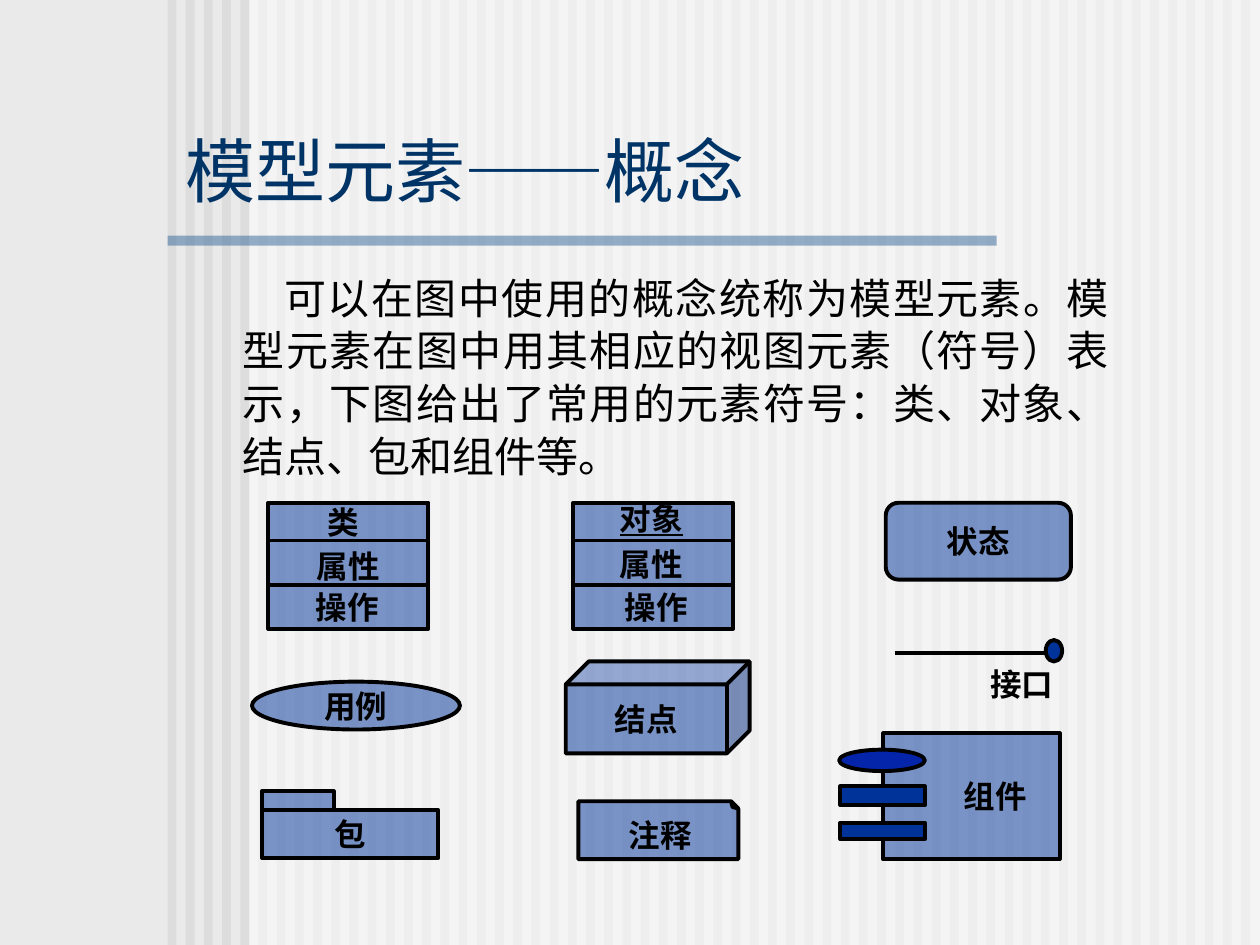
import pptx
import pptx.util
import pptx.dml.color
import pptx.enum.shapes
import pptx.enum.text
import pptx.oxml.ns
import lxml.etree

Inches = pptx.util.Inches
Shape = pptx.enum.shapes.MSO_SHAPE
Align = pptx.enum.text.PP_ALIGN
Anchor = pptx.enum.text.MSO_ANCHOR
qualified = pptx.oxml.ns.qn

CJK_FONT = "Noto Sans CJK SC"
BLUE = "003399"
BLACK = "000000"


def color(value):
    return pptx.dml.color.RGBColor.from_string(value)


def set_fill(shape, value, opacity=100):
    shape.fill.solid()
    shape.fill.fore_color.rgb = color(value)
    if opacity < 100:
        element = shape._element.spPr.find(".//" + qualified("a:srgbClr"))
        alpha = lxml.etree.SubElement(element, qualified("a:alpha"))
        alpha.set("val", str(opacity * 1000))


def write_text(frame, text, size=18, font="Times New Roman", value=BLACK,
               bold=True, underline=False, align=Align.LEFT):
    paragraph = frame.paragraphs[0]
    paragraph.alignment = align
    run = paragraph.add_run()
    run.text = text
    run.font.size = pptx.util.Pt(size)
    run.font.name = font
    run.font.bold = bold
    run.font.underline = underline
    run.font.color.rgb = color(value)
    east_asian = lxml.etree.Element(qualified("a:ea"))
    east_asian.set("typeface", CJK_FONT)
    run.font._element.find(qualified("a:latin")).addnext(east_asian)
    return paragraph


def add_block(slide, left, top, width, height, value, opacity=100, kind=Shape.RECTANGLE):
    """A filled shape without an outline."""
    shape = slide.shapes.add_shape(kind, Inches(left), Inches(top), Inches(width), Inches(height))
    shape.shadow.inherit = False
    set_fill(shape, value, opacity)
    shape.line.fill.background()
    return shape


def add_symbol(slide, kind, left, top, width, height, text="", value=BLUE, opacity=50,
               left_inset=0.1):
    """An outlined shape with an optional centred label."""
    shape = add_block(slide, left, top, width, height, value, opacity, kind)
    shape.line.color.rgb = color(BLACK)
    shape.line.width = pptx.util.Pt(2.25)
    if text:
        frame = shape.text_frame
        frame.word_wrap = False
        frame.vertical_anchor = Anchor.MIDDLE
        frame.margin_left = Inches(left_inset)
        write_text(frame, text, align=Align.CENTER)
    return shape


def add_label(slide, left, top, text, width=0.7, underline=False):
    box = slide.shapes.add_textbox(Inches(left), Inches(top), Inches(width), Inches(0.4))
    box.text_frame.word_wrap = False
    box.text_frame.auto_size = pptx.enum.text.MSO_AUTO_SIZE.SHAPE_TO_FIT_TEXT
    write_text(box.text_frame, text, underline=underline)


def add_rule(slide, left, right, top):
    line = slide.shapes.add_connector(pptx.enum.shapes.MSO_CONNECTOR.STRAIGHT,
                                      Inches(left), Inches(top), Inches(right), Inches(top))
    line.line.color.rgb = color(BLACK)
    line.line.width = pptx.util.Pt(2.25)
    lxml.etree.SubElement(line._element.spPr, qualified("a:effectLst"))


def add_compartments(slide, left, text=""):
    """A box divided into name, attributes and operations."""
    width = 1.27
    add_symbol(slide, Shape.RECTANGLE, left, 3.99, width, 1, text)
    for top in (4.29, 4.64):
        add_rule(slide, left, left + width, top)


def add_background(slide):
    slide.background.fill.solid()
    slide.background.fill.fore_color.rgb = color("EAEAEA")
    first, last, count = 1.33, 9.85, 60
    pitch = (last - first) / (count - 1)
    for index in range(count):
        add_block(slide, first + index * pitch, 0, 0.07, 7.5, "DDDDDD")
    add_block(slide, 1.98, 0, 8.02, 7.5, "FFFFFF", 50)
    add_block(slide, 1.33, 1.87, 6.58, 0.08, "336699", 50)


def add_title(slide, text):
    title = slide.shapes.title
    title.left, title.top = Inches(1.37), Inches(1.04)
    title.width, title.height = Inches(7.33), Inches(0.69)
    title.text_frame.vertical_anchor = Anchor.BOTTOM
    write_text(title.text_frame, text, size=40, font="Arial", value="003366", bold=False)
    # Bring the title in front of the background stripes
    slide.shapes._spTree.append(title._element)


def add_body(slide, text):
    box = slide.shapes.add_textbox(Inches(1.83), Inches(2.09), Inches(7.07), Inches(1.78))
    box.text_frame.word_wrap = True
    paragraph = write_text(box.text_frame, text, size=24, font=CJK_FONT, bold=False,
                           align=Align.JUSTIFY)
    paragraph.line_spacing = 1.05
    paragraph._p.get_or_add_pPr().set("indent", str(Inches(0.33)))


def add_note(slide):
    """A note with its folded corner at the top."""
    note = add_symbol(slide, Shape.FOLDED_CORNER, 4.59, 6.36, 1.27, 0.46)
    properties = note._element.spPr
    properties.find(qualified("a:xfrm")).set("flipV", "1")
    guides = properties.find(qualified("a:prstGeom")).find(qualified("a:avLst"))
    guide = lxml.etree.SubElement(guides, qualified("a:gd"))
    guide.set("name", "adj")
    guide.set("fmla", "val 12500")
    add_label(slide, 4.89, 6.43, "注释", width=0.75)


def add_left_column(slide):
    add_compartments(slide, 2.13, "属性")
    add_label(slide, 2.5, 3.94, "类", width=0.45)
    add_label(slide, 2.41, 4.62, "操作")
    add_symbol(slide, Shape.OVAL, 2, 5.41, 1.65, 0.38, "用例")
    # Package with its tab
    add_symbol(slide, Shape.RECTANGLE, 2.08, 6.43, 1.4, 0.38, "包")
    add_symbol(slide, Shape.RECTANGLE, 2.08, 6.28, 0.57, 0.15)


def add_middle_column(slide):
    add_compartments(slide, 4.55)
    add_label(slide, 4.82, 3.91, "对象", underline=True)
    add_label(slide, 4.82, 4.28, "属性")
    add_label(slide, 4.86, 4.62, "操作")
    add_symbol(slide, Shape.CUBE, 4.49, 5.25, 1.46, 0.73, "结点")
    add_note(slide)


def add_right_column(slide):
    add_symbol(slide, Shape.ROUNDED_RECTANGLE, 7.03, 3.99, 1.47, 0.61, "状态")
    # Interface
    add_rule(slide, 7.1, 8.31, 5.18)
    add_symbol(slide, Shape.OVAL, 8.3, 5.08, 0.13, 0.17, opacity=100)
    add_label(slide, 7.76, 5.23, "接口")
    # Component with its ports
    add_symbol(slide, Shape.RECTANGLE, 7.01, 5.82, 1.4, 1, "组件", left_inset=0.48)
    add_symbol(slide, Shape.RECTANGLE, 6.67, 6.24, 0.67, 0.15, opacity=100)
    add_symbol(slide, Shape.RECTANGLE, 6.67, 6.53, 0.67, 0.13, opacity=100)
    add_symbol(slide, Shape.OVAL, 6.66, 5.95, 0.68, 0.17, value="0424AA", opacity=100)


def main():
    presentation = pptx.Presentation()
    presentation.slide_width, presentation.slide_height = Inches(10), Inches(7.5)
    slide = presentation.slides.add_slide(presentation.slide_layouts[5])
    add_background(slide)
    add_title(slide, "模型元素——概念")
    add_body(slide, "可以在图中使用的概念统称为模型元素。模型元素在图中用其相应的视图元素（符号）表示，"
                    "下图给出了常用的元素符号：类、对象、结点、包和组件等。")
    add_left_column(slide)
    add_middle_column(slide)
    add_right_column(slide)
    presentation.save("out.pptx")


if __name__ == "__main__":
    main()
